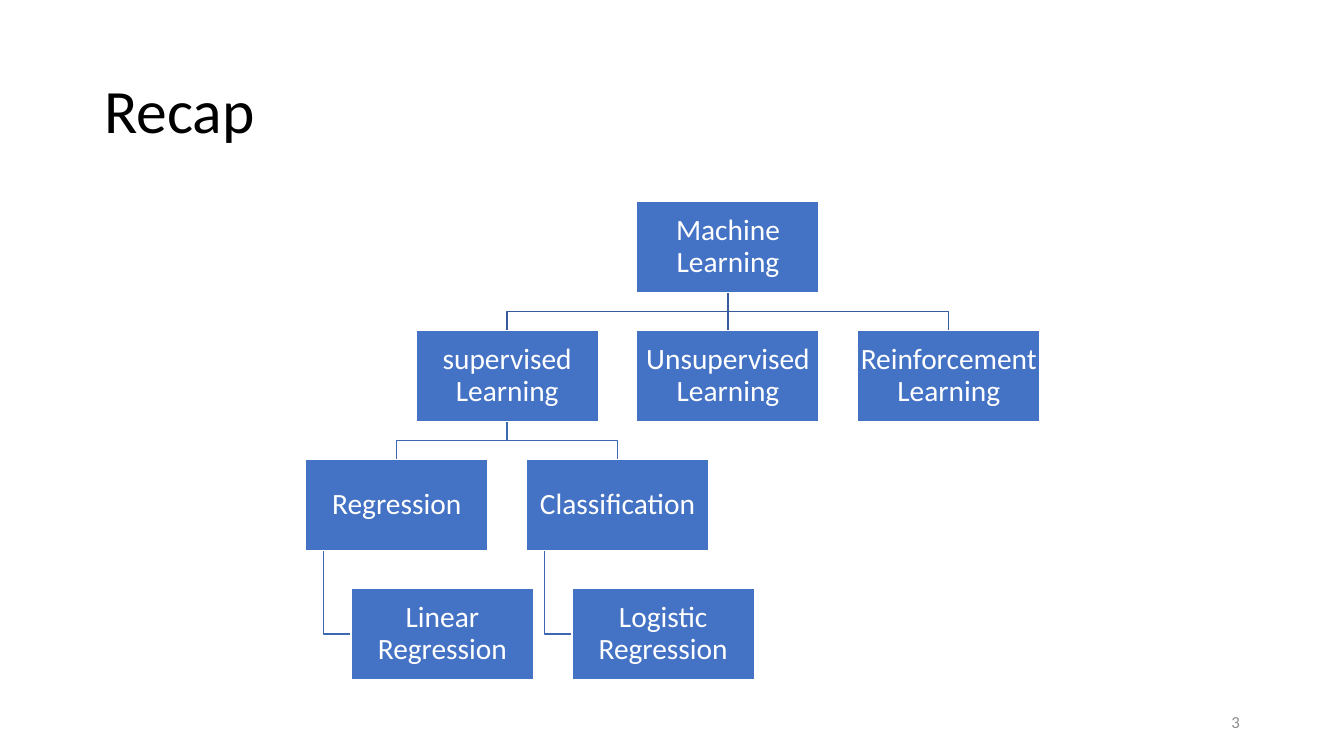
from lxml import etree
from pptx import Presentation
from pptx.dml.color import RGBColor
from pptx.enum.shapes import MSO_CONNECTOR, MSO_SHAPE
from pptx.enum.text import MSO_ANCHOR, MSO_AUTO_SIZE, PP_ALIGN
from pptx.oxml.ns import qn
from pptx.util import Inches, Pt

RECTANGLE, STRAIGHT = MSO_SHAPE.RECTANGLE, MSO_CONNECTOR.STRAIGHT
MIDDLE, NO_AUTOFIT = MSO_ANCHOR.MIDDLE, MSO_AUTO_SIZE.NONE
LEFT, CENTER, RIGHT = PP_ALIGN.LEFT, PP_ALIGN.CENTER, PP_ALIGN.RIGHT

COLORS = {"title": "000000", "box": "4472C4", "light": "FFFFFF",
          "upper_link": "365B9D", "lower_link": "3E67B2", "number": "8C8C8C"}
SLIDE_WIDTH, SLIDE_HEIGHT = 13.33, 7.5
TITLE_ONLY = 5

# Tree grid, in inches
TREE_LEFT, TREE_TOP = 3.03, 2.0
COLUMN_STEP, ROW_STEP = 2.19, 1.28
BOX_WIDTH, BOX_HEIGHT = 1.81, 0.9
LEAF_INDENT = 0.25 * BOX_WIDTH / COLUMN_STEP
STEM_INSET = 0.1 * BOX_WIDTH

# Name: (text, column, row, parent)
TREE = {
    "root": ("Machine Learning", 1.5, 0, None),
    "supervised": ("supervised Learning", 0.5, 1, "root"),
    "unsupervised": ("Unsupervised Learning", 1.5, 1, "root"),
    "reinforcement": ("Reinforcement Learning", 2.5, 1, "root"),
    "regression": ("Regression", 0, 2, "supervised"),
    "classification": ("Classification", 1, 2, "supervised"),
    "linear": ("Linear Regression", LEAF_INDENT, 3, "regression"),
    "logistic": ("Logistic Regression", 1 + LEAF_INDENT, 3, "classification"),
}
LEAF_ROW = 3


def color(name):
    return RGBColor.from_string(COLORS[name])


def place(left, top, width, height):
    """Turn shares of the slide's size into lengths."""
    return (Inches(left * SLIDE_WIDTH), Inches(top * SLIDE_HEIGHT),
            Inches(width * SLIDE_WIDTH), Inches(height * SLIDE_HEIGHT))


class TreeSlide:
    font_name = "Calibri"

    def __init__(self, presentation):
        self.slide = presentation.slides.add_slide(presentation.slide_layouts[TITLE_ONLY])
        self.shapes = self.slide.shapes

    def set_text(self, shape, text, size, color_name, alignment, spacing=1.0):
        frame = shape.text_frame
        frame.text = text
        frame.word_wrap = True
        frame.auto_size = NO_AUTOFIT
        frame.vertical_anchor = MIDDLE
        paragraph = frame.paragraphs[0]
        paragraph.alignment = alignment
        paragraph.line_spacing = spacing
        paragraph.font.name = self.font_name
        paragraph.font.size = Pt(size)
        paragraph.font.color.rgb = color(color_name)

    def title(self, text, *shares):
        shape = self.shapes.title
        shape.left, shape.top, shape.width, shape.height = place(*shares)
        self.set_text(shape, text, 44, "title", LEFT, 0.9)

    def number(self, text, *shares):
        shape = self.shapes.add_textbox(*place(*shares))
        self.set_text(shape, text, 12, "number", RIGHT)

    def corner(self, column, row):
        return TREE_LEFT + column * COLUMN_STEP, TREE_TOP + row * ROW_STEP

    def box(self, text, column, row):
        left, top = self.corner(column, row)
        shape = self.shapes.add_shape(RECTANGLE, Inches(left), Inches(top),
                                      Inches(BOX_WIDTH), Inches(BOX_HEIGHT))
        shape.shadow.inherit = False
        shape.fill.solid()
        shape.fill.fore_color.rgb = color("box")
        shape.line.color.rgb = color("light")
        shape.line.width = Pt(1)
        frame = shape.text_frame
        frame.margin_left = frame.margin_right = Inches(0.01)
        frame.margin_top = frame.margin_bottom = Inches(0.01)
        self.set_text(shape, text, 21, "light", CENTER, 0.9)

    def line(self, points, color_name):
        points = [(Inches(x), Inches(y)) for x, y in points]
        if len(points) == 2:
            shape = self.shapes.add_connector(STRAIGHT, *points[0], *points[1])
        else:
            builder = self.shapes.build_freeform(*points[0])
            builder.add_line_segments(points[1:], close=False)
            shape = builder.convert_to_shape()
            shape.shadow.inherit = False
            shape.fill.background()
        shape.line.color.rgb = color(color_name)
        shape.line.width = Pt(1)
        if len(points) == 2:
            etree.SubElement(shape._element.spPr, qn("a:effectLst"))

    def link(self, parent, child):
        """Join (column, row) of a parent box to that of its child."""
        (parent_left, parent_top), (left, top) = self.corner(*parent), self.corner(*child)
        start_y = parent_top + BOX_HEIGHT
        start_x, end_x = parent_left + BOX_WIDTH / 2, left + BOX_WIDTH / 2
        middle_y = (start_y + top) / 2
        if child[1] == LEAF_ROW:
            stem_x, end_y = parent_left + STEM_INSET, top + BOX_HEIGHT / 2
            points = [(stem_x, start_y), (stem_x, end_y), (left, end_y)]
        elif parent[0] == child[0]:
            points = [(start_x, start_y), (end_x, top)]
        else:
            points = [(start_x, start_y), (start_x, middle_y), (end_x, middle_y), (end_x, top)]
        self.line(points, "upper_link" if parent[1] == 0 else "lower_link")


presentation = Presentation()
presentation.slide_width = Inches(SLIDE_WIDTH)
presentation.slide_height = Inches(SLIDE_HEIGHT)
recap = TreeSlide(presentation)

# Title
recap.title("Recap", 0.07, 0.05, 0.86, 0.2)

# Links lie behind the boxes
for _, column, row, parent in TREE.values():
    if parent:
        recap.link(TREE[parent][1:3], (column, row))

# Boxes
for text, column, row, _ in TREE.values():
    recap.box(text, column, row)

# Page number
recap.number("3", 0.71, 0.93, 0.22, 0.05)

presentation.save("out.pptx")
